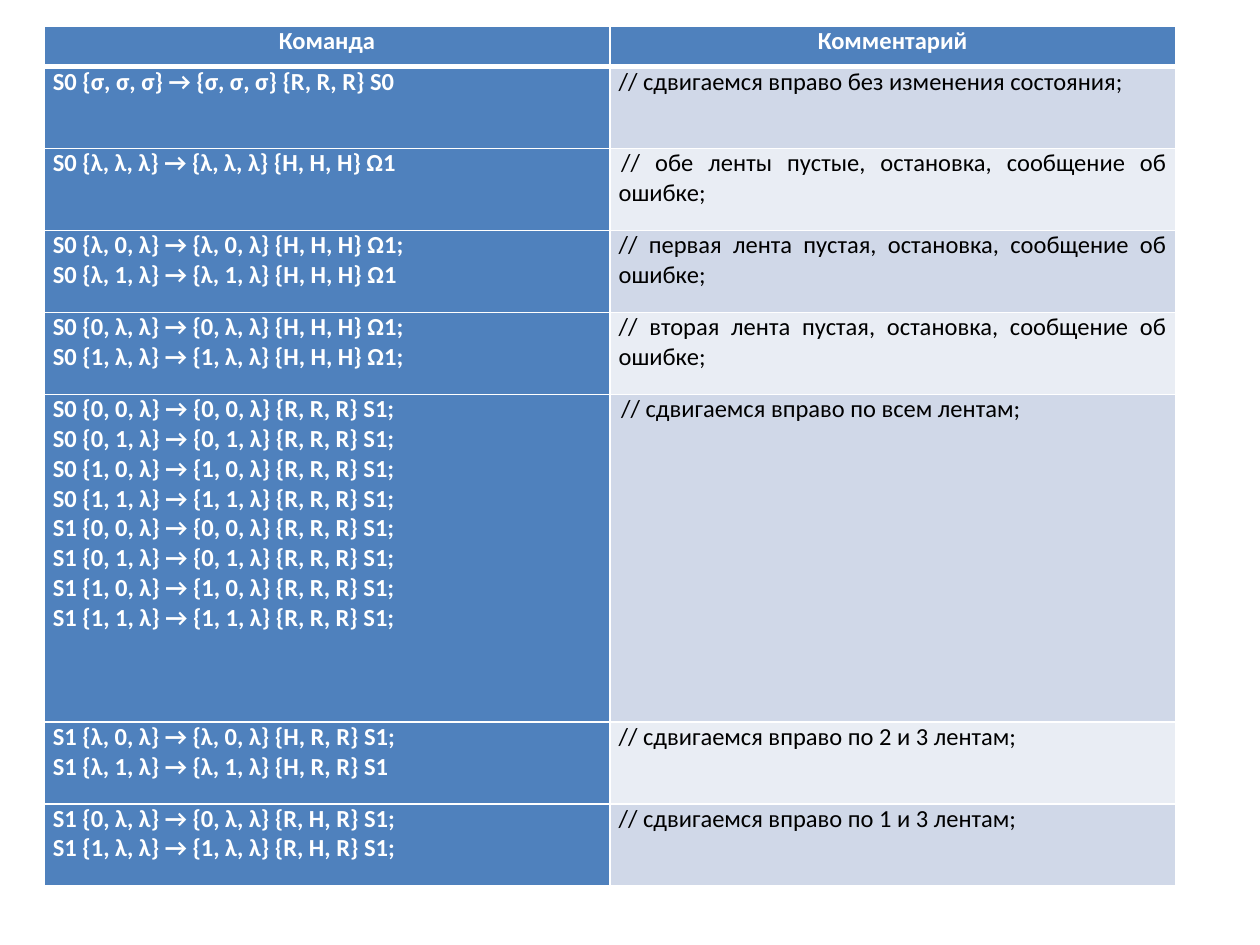
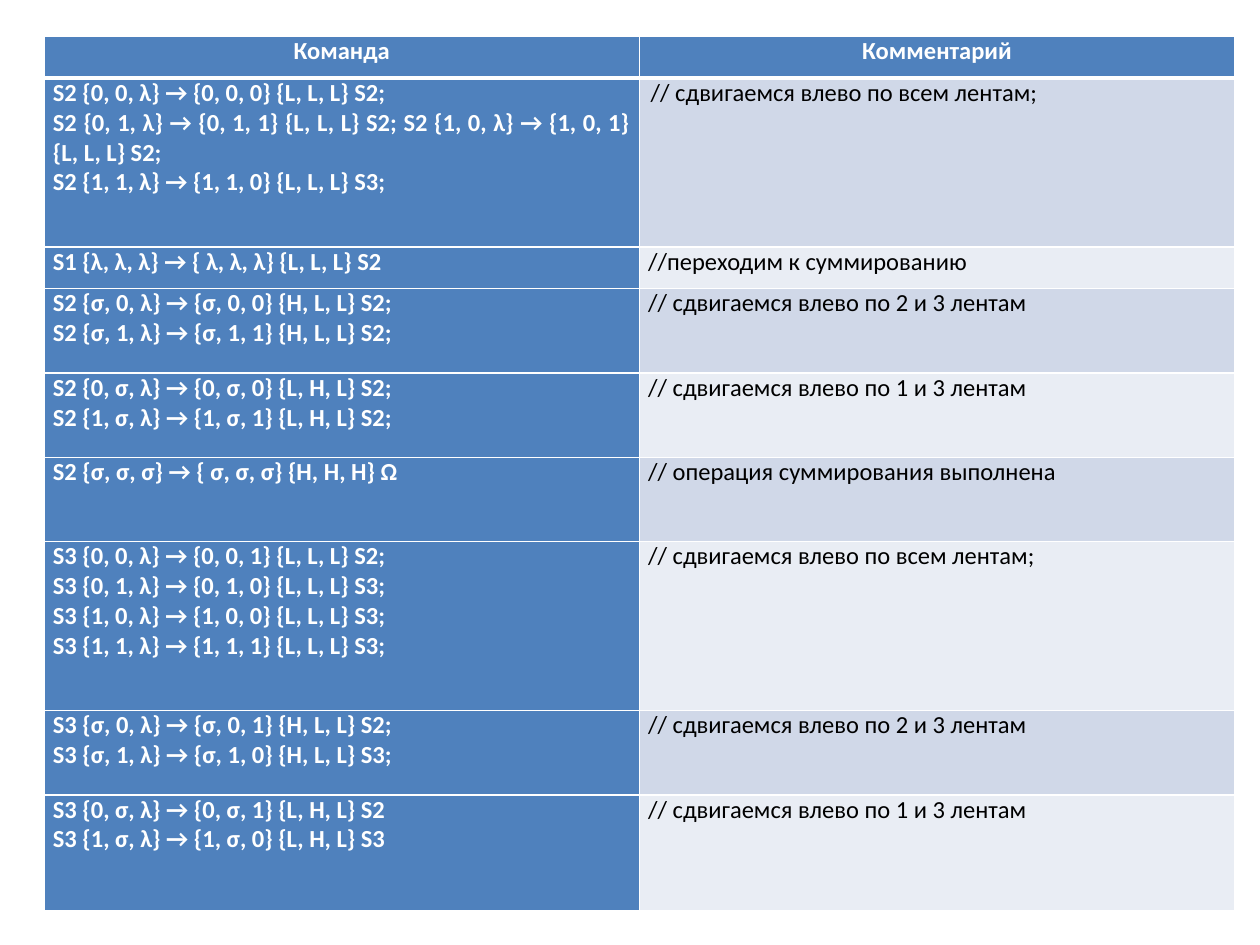
"""Two slides of command tables for a three-tape adding machine."""
from dataclasses import dataclass

from lxml import etree
from pptx import Presentation
from pptx import util as u
from pptx.dml.color import RGBColor
from pptx.enum import text
from pptx.oxml import ns


@dataclass(frozen=True)
class Theme:
    """Colours, type and line widths shared by both slides."""
    font: str = "Calibri"
    size: int = 14
    accent: str = "4F81BD"
    bands: tuple = ("D0D8E8", "E9EDF4")
    light: str = "FFFFFF"
    dark: str = "000000"
    rule: int = 1
    header_rule: int = 3
    side_margin: float = 0.07
    nudge: float = 0.02


class Deck:
    """Holds the style and the current slide."""

    def __init__(self, theme):
        """Start an empty deck."""
        self.theme = theme
        self.deck = Presentation()
        self.deck.slide_width, self.deck.slide_height = u.Inches(10), u.Inches(7.5)
        self.slide = None

    def new_slide(self):
        """Add a blank slide and make it current."""
        self.slide = self.deck.slides.add_slide(self.deck.slide_layouts[6])

    def borders(self, cell, top, bottom):
        """Draw the four edges of a cell."""
        rule = self.theme.rule
        properties = cell._tc.get_or_add_tcPr()
        for edge, width in (("L", rule), ("R", rule), ("T", top), ("B", bottom)):
            line = etree.SubElement(properties, ns.qn(f"a:ln{edge}"), w=str(u.Pt(width)))
            solid = etree.SubElement(line, ns.qn("a:solidFill"))
            etree.SubElement(solid, ns.qn("a:srgbClr"), val=self.theme.light)

    def cell(self, cell, lines, row, is_comment, nudged=False):
        """Fill and format one cell by its place in the table."""
        theme = self.theme
        is_header = row == 0
        is_body_comment = is_comment and not is_header
        self.borders(cell, theme.header_rule if row == 1 else theme.rule,
                     theme.header_rule if is_header else theme.rule)
        cell.fill.solid()
        cell.fill.fore_color.rgb = RGBColor.from_string(
            theme.bands[(row - 1) % 2] if is_body_comment else theme.accent)
        cell.margin_left = cell.margin_right = u.Inches(theme.side_margin)
        cell.margin_top = cell.margin_bottom = 0
        cell.text = "\n".join(lines)
        for paragraph in cell.text_frame.paragraphs:
            paragraph.alignment = (text.PP_ALIGN.CENTER if is_header
                                   else text.PP_ALIGN.JUSTIFY)
            font = paragraph.font
            font.name, font.size = theme.font, u.Pt(theme.size)
            font.bold = not is_body_comment
            font.color.rgb = RGBColor.from_string(
                theme.dark if is_body_comment else theme.light)
            if nudged:
                paragraph._p.get_or_add_pPr().set(
                    "indent", str(u.Inches(theme.nudge)))

    def command_table(self, top, width, header_height, entries):
        """Add a table of commands and comments with a header row."""
        heights = [header_height] + [entry[0] for entry in entries]
        table = self.slide.shapes.add_table(
            len(heights), 2, u.Inches(0.35), u.Inches(top),
            u.Inches(width), u.Inches(sum(heights))).table
        table.first_row = table.horz_banding = False
        for column in table.columns:
            column.width = u.Inches(width / 2)
        for row, height in zip(table.rows, heights):
            row.height = u.Inches(height)
        for index, title in enumerate(("Команда", "Комментарий")):
            self.cell(table.cell(0, index), [title], 0, index == 1)
        for row, (_, commands, comment, *nudged) in enumerate(entries, 1):
            self.cell(table.cell(row, 0), commands, row, False)
            self.cell(table.cell(row, 1), [comment], row, True, bool(nudged))


FORWARD = [
    (0.65, ["S0 {σ, σ, σ} → {σ, σ, σ} {R, R, R} S0"],
     "// сдвигаемся вправо без изменения состояния;"),
    (0.65, ["S0 {λ, λ, λ} → {λ, λ, λ} {H, H, H} Ω1"],
     "// обе ленты пустые, остановка, сообщение об ошибке;", "nudged"),
    (0.65, ["S0 {λ, 0, λ} → {λ, 0, λ} {H, H, H} Ω1;",
            "S0 {λ, 1, λ} → {λ, 1, λ} {H, H, H} Ω1"],
     "// первая лента пустая, остановка, сообщение об ошибке;"),
    (0.65, ["S0 {0, λ, λ} → {0, λ, λ} {H, H, H} Ω1;",
            "S0 {1, λ, λ} → {1, λ, λ} {H, H, H} Ω1;"],
     "// вторая лента пустая, остановка, сообщение об ошибке;"),
    (2.6, [f"{state} {{{a}, {b}, λ}} → {{{a}, {b}, λ}} {{R, R, R}} S1;"
           for state in ("S0", "S1") for a in (0, 1) for b in (0, 1)],
     "// сдвигаемся вправо по всем лентам;", "nudged"),
    (0.65, ["S1 {λ, 0, λ} → {λ, 0, λ} {H, R, R} S1;",
            "S1 {λ, 1, λ} → {λ, 1, λ} {H, R, R} S1"],
     "// сдвигаемся вправо по 2 и 3 лентам;"),
    (0.65, ["S1 {0, λ, λ} → {0, λ, λ} {R, H, R} S1;",
            "S1 {1, λ, λ} → {1, λ, λ} {R, H, R} S1;"],
     "// сдвигаемся вправо по 1 и 3 лентам;"),
]

BACKWARD = [
    (1.34, ["S2 {0, 0, λ} → {0, 0, 0} {L, L, L} S2;",
            "S2 {0, 1, λ} → {0, 1, 1} {L, L, L} S2; "
            "S2 {1, 0, λ} → {1, 0, 1} {L, L, L} S2;",
            "S2 {1, 1, λ} → {1, 1, 0} {L, L, L} S3;"],
     "// сдвигаемся влево по всем лентам;", "nudged"),
    (0.33, ["S1 {λ, λ, λ} → { λ, λ, λ} {L, L, L} S2"],
     "//переходим к суммированию"),
    (0.67, ["S2 {σ, 0, λ} → {σ, 0, 0} {H, L, L} S2;",
            "S2 {σ, 1, λ} → {σ, 1, 1} {H, L, L} S2;"],
     "// сдвигаемся влево по 2 и 3 лентам"),
    (0.67, ["S2 {0, σ, λ} → {0, σ, 0} {L, H, L} S2;",
            "S2 {1, σ, λ} → {1, σ, 1} {L, H, L} S2;"],
     "// сдвигаемся влево по 1 и 3 лентам"),
    (0.67, ["S2 {σ, σ, σ} → { σ, σ, σ} {H, H, H} Ω"],
     "// операция суммирования выполнена"),
    (1.34, ["S3 {0, 0, λ} → {0, 0, 1} {L, L, L} S2;",
            "S3 {0, 1, λ} → {0, 1, 0} {L, L, L} S3;",
            "S3 {1, 0, λ} → {1, 0, 0} {L, L, L} S3;",
            "S3 {1, 1, λ} → {1, 1, 1} {L, L, L} S3;"],
     "// сдвигаемся влево по всем лентам;"),
    (0.67, ["S3 {σ, 0, λ} → {σ, 0, 1} {H, L, L} S2;",
            "S3 {σ, 1, λ} → {σ, 1, 0} {H, L, L} S3;"],
     "// сдвигаемся влево по 2 и 3 лентам"),
    (0.92, ["S3 {0, σ, λ} → {0, σ, 1} {L, H, L} S2",
            "S3 {1, σ, λ} → {1, σ, 0} {L, H, L} S3"],
     "// сдвигаемся влево по 1 и 3 лентам"),
]


def main():
    """Build and save the deck."""
    machine = Deck(Theme())
    for top, width, header_height, entries in (
            (0.21, 8.98, 0.32, FORWARD), (0.29, 9.45, 0.33, BACKWARD)):
        machine.new_slide()
        machine.command_table(top, width, header_height, entries)
    machine.deck.save("out.pptx")


if __name__ == "__main__":
    main()
